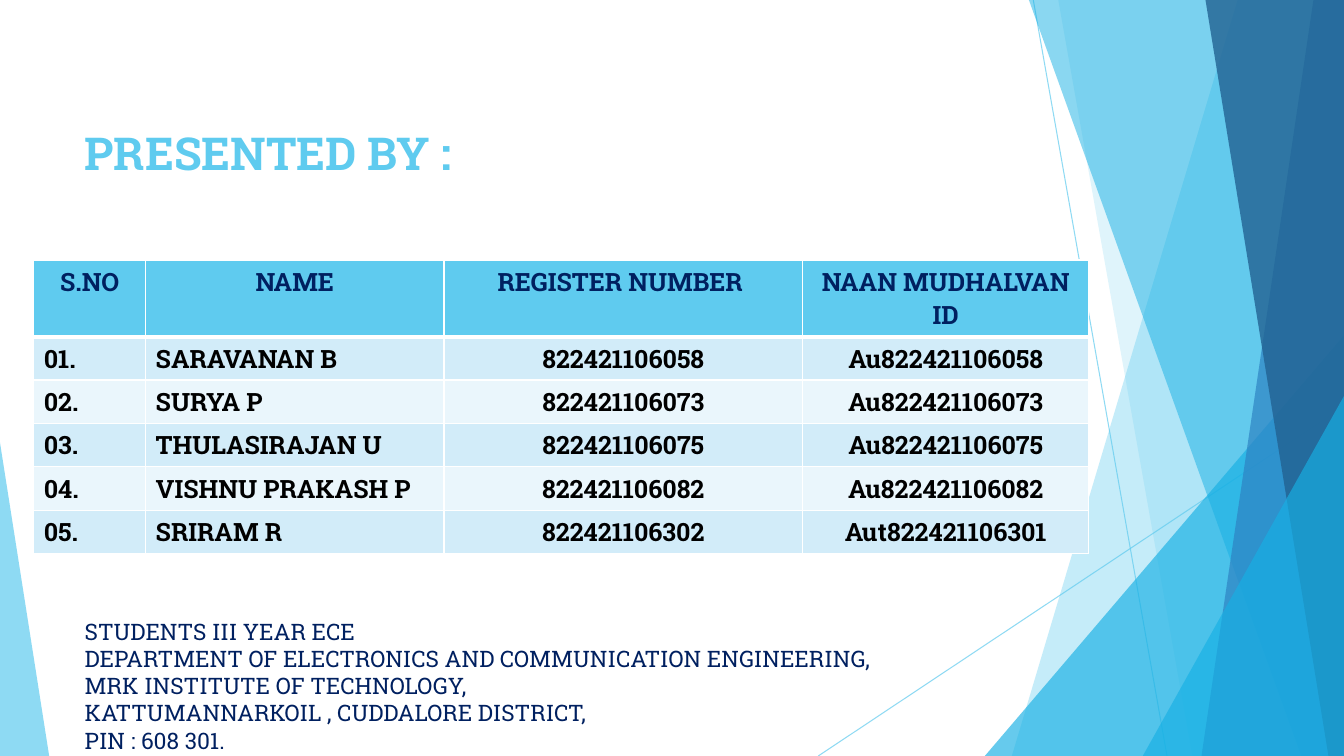
from dataclasses import dataclass

from lxml import etree
from pptx import Presentation
from pptx import util as u
from pptx.dml.color import RGBColor
from pptx.enum import shapes, text
from pptx.oxml import ns

HEADING = "PRESENTED BY :"
ADDRESS = [
    "STUDENTS III YEAR ECE",
    "DEPARTMENT OF ELECTRONICS AND COMMUNICATION ENGINEERING,",
    "MRK INSTITUTE OF TECHNOLOGY,",
    "KATTUMANNARKOIL , CUDDALORE DISTRICT,",
    "PIN : 608 301.",
]
STUDENTS = [
    ("S.NO", "NAME", "REGISTER NUMBER ", "NAAN MUDHALVAN ID"),
    ("01.", "SARAVANAN B", "822421106058", "Au822421106058"),
    ("02.", "SURYA P", "822421106073", "Au822421106073"),
    ("03.", "THULASIRAJAN U", "822421106075", "Au822421106075"),
    ("04.", "VISHNU PRAKASH P", "822421106082", "Au822421106082"),
    ("05.", "SRIRAM R", "822421106302", "Aut822421106301"),
]
COLUMN_WIDTHS = (2.82, 7.52, 9.04, 7.21)
HEADER_HEIGHT, STUDENT_HEIGHT = 1.93, 1.09
WIDTH, HEIGHT = 33.87, 19.05


@dataclass(frozen=True)
class Theme:
    font: str = "Roboto Slab"
    sky: str = "5FCBEF"
    azure: str = "17B0E4"
    blue: str = "2E83C3"
    deep: str = "226292"
    navy: str = "002060"
    black: str = "000000"
    white: str = "FFFFFF"
    stripes: tuple = ("EAF6FC", "D2ECF9")
    heading_size: float = 32.4
    address_size: float = 16.2
    table_size: float = 18


THEME = Theme()

RAYS = [(26.04, 0, 29.41, HEIGHT), (WIDTH, 10.24, 20.62, HEIGHT)]
FACETS = [
    ("band", (31.19, 25.5), THEME.sky, 36),
    ("band", (26.67, 30.05), THEME.sky, 20),
    ("triangle", (24.82, 8.46, 9.04, 1), THEME.azure, 66),
    ("band", (25.93, 32.79), THEME.azure, 50),
    ("band", (33.1, 30.28), THEME.blue, 70),
    ("band", (30.38, 33.48), THEME.deep, 80),
    ("triangle", (28.8, 9.98, 5.07, 1), THEME.azure, 66),
    ("triangle", (0, 11.15, 1.24, 0), THEME.sky, 70),
]


def colour(paint, value, opacity=100):
    paint.solid()
    paint.fore_color.rgb = RGBColor.from_string(value)
    if opacity < 100:
        for tint in paint._xPr.iter(ns.qn("a:srgbClr")):
            etree.SubElement(tint, ns.qn("a:alpha"), val=str(opacity * 1000))


def write(frame, lines, size, ink, bold=False, align=text.PP_ALIGN.LEFT, spacing=None):
    for index, line in enumerate(lines):
        paragraph = frame.paragraphs[0] if index == 0 else frame.add_paragraph()
        paragraph.alignment = align
        paragraph.space_before = u.Pt(0)
        if spacing:
            paragraph.line_spacing = u.Pt(spacing)
        run = paragraph.add_run()
        run.text = line
        run.font.name = THEME.font
        run.font.size = u.Pt(size)
        run.font.bold = bold
        run.font.color.rgb = RGBColor.from_string(ink)


def place(holder, left, top, width, height):
    holder.left, holder.top = u.Cm(left), u.Cm(top)
    holder.width, holder.height = u.Cm(width), u.Cm(height)
    frame = holder.text_frame
    frame.word_wrap = True
    frame.auto_size = text.MSO_AUTO_SIZE.NONE
    frame.vertical_anchor = text.MSO_ANCHOR.TOP
    frame.margin_top = frame.margin_bottom = 0
    return frame


def draw_ray(slide, ends):
    ray = slide.shapes.add_connector(shapes.MSO_CONNECTOR.STRAIGHT, *map(u.Cm, ends))
    ray.line.width = u.Pt(0.75)
    colour(ray.line.fill, THEME.sky, 70)
    etree.SubElement(ray._element.spPr, ns.qn("a:effectLst"))


def draw_facet(slide, kind, geometry, tone, opacity):
    if kind == "band":
        top_x, bottom_x = geometry
        builder = slide.shapes.build_freeform(u.Cm(top_x), 0)
        corners = [(WIDTH, 0), (WIDTH, HEIGHT), (bottom_x, HEIGHT)]
        builder.add_line_segments([(u.Cm(x), u.Cm(y)) for x, y in corners])
        facet = builder.convert_to_shape()
    else:
        left, top, width, apex = geometry
        facet = slide.shapes.add_shape(
            shapes.MSO_SHAPE.ISOSCELES_TRIANGLE,
            u.Cm(left), u.Cm(top), u.Cm(width), u.Cm(HEIGHT - top))
        facet.adjustments[0] = apex
    facet.shadow.inherit = False
    facet.line.fill.background()
    colour(facet.fill, tone, opacity)


def draw_borders(cell, row):
    properties = cell._tc.get_or_add_tcPr()
    weights = {"L": 1, "R": 1, "T": 3 if row == 1 else 1, "B": 3 if row == 0 else 1}
    for side, weight in weights.items():
        edge = etree.SubElement(properties, ns.qn(f"a:ln{side}"), w=str(u.Pt(weight)))
        paint = etree.SubElement(edge, ns.qn("a:solidFill"))
        etree.SubElement(paint, ns.qn("a:srgbClr"), val=THEME.white)


def draw_students(slide):
    heights = [HEADER_HEIGHT] + [STUDENT_HEIGHT] * (len(STUDENTS) - 1)
    students = slide.shapes.add_table(
        len(STUDENTS), len(COLUMN_WIDTHS), u.Cm(0.85), u.Cm(6.55),
        u.Cm(sum(COLUMN_WIDTHS)), u.Cm(sum(heights))).table
    for column, width in zip(students.columns, COLUMN_WIDTHS):
        column.width = u.Cm(width)
    for row, entries in enumerate(STUDENTS):
        students.rows[row].height = u.Cm(heights[row])
        for column, entry in enumerate(entries):
            cell = students.cell(row, column)
            centred = row == 0 or column > 1
            write(cell.text_frame, [entry], THEME.table_size,
                  THEME.black if row else THEME.navy, bold=True,
                  align=text.PP_ALIGN.CENTER if centred else text.PP_ALIGN.LEFT)
            draw_borders(cell, row)
            colour(cell.fill, THEME.stripes[row % 2] if row else THEME.sky)


def main():
    deck = Presentation()
    deck.slide_width, deck.slide_height = u.Cm(WIDTH), u.Cm(HEIGHT)
    slide = deck.slides.add_slide(deck.slide_layouts[1])
    heading, address = slide.placeholders

    for ends in RAYS:
        draw_ray(slide, ends)
    for facet in FACETS:
        draw_facet(slide, *facet)

    write(place(heading, 1.88, 3.16, 23.88, 1.6), [HEADING],
          THEME.heading_size, THEME.sky, bold=True)
    address_frame = place(address, 1.88, 15.57, 23.88, 3.45)
    write(address_frame, ADDRESS, THEME.address_size, THEME.navy, spacing=19.4)
    for paragraph in address_frame.paragraphs:
        properties = paragraph._p.get_or_add_pPr()
        properties.set("marL", "0")
        properties.set("indent", "0")
        etree.SubElement(properties, ns.qn("a:buNone"))

    draw_students(slide)
    deck.save("out.pptx")


if __name__ == "__main__":
    main()
